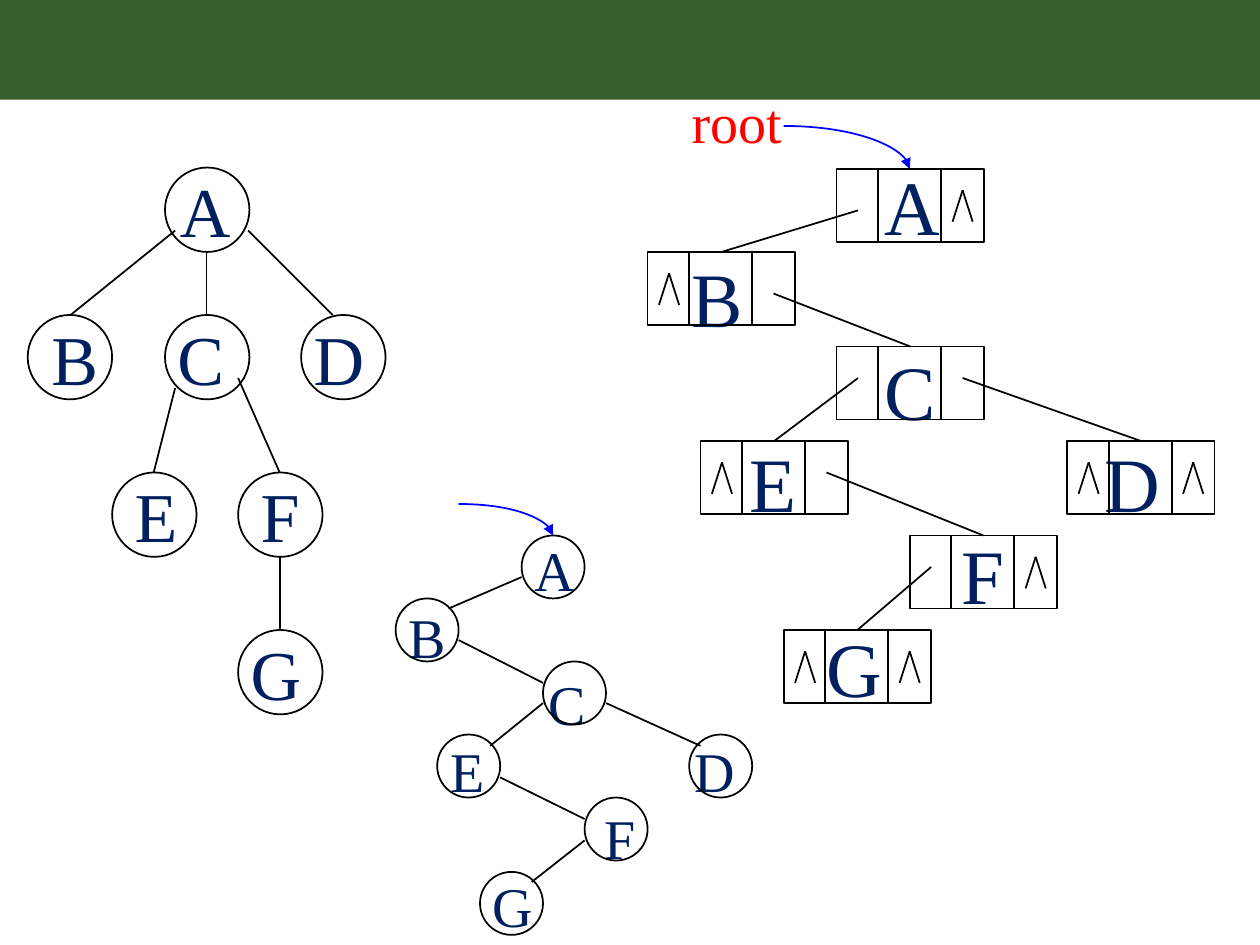
from lxml import etree
from pptx import Presentation
from pptx.dml.color import RGBColor
from pptx.enum.shapes import MSO_CONNECTOR, MSO_SHAPE
from pptx.enum.text import MSO_ANCHOR, PP_ALIGN
from pptx.oxml.ns import qn
from pptx.util import Cm, Pt

RECTANGLE, OVAL = MSO_SHAPE.RECTANGLE, MSO_SHAPE.OVAL
STRAIGHT, CURVE = MSO_CONNECTOR.STRAIGHT, MSO_CONNECTOR.CURVE
TOP, LEFT = MSO_ANCHOR.TOP, PP_ALIGN.LEFT

COLORS = {"band": "365F2E", "letter": "002060", "root": "FF0000",
          "pointer": "0000FF", "line": "000000"}
FONT = "Times New Roman"

# Layout values are in inches and turned into Cm by length()
BIG_CIRCLE, SMALL_CIRCLE = 0.67, 0.5
RECORD_WIDTH, RECORD_HEIGHT = 1.17, 0.58
RECORD_DIVIDERS = (0.33, 0.83)
LINK_CELLS = {"left": 0.17, "right": 1.0}  # centres of the two link cells

# General tree: circle left and top, letter left and width
TREE_NODES = {
    "A": (1.31, 1.33, 1.33, 0.61), "B": (0.22, 2.5, 0.31, 0.58),
    "C": (1.31, 2.5, 1.31, 0.58), "D": (2.39, 2.5, 2.39, 0.61),
    "E": (0.89, 3.75, 0.97, 0.54), "F": (1.89, 3.75, 1.97, 0.51),
    "G": (1.89, 5, 1.89, 0.61),
}
TREE_EDGES = [
    (1.39, 1.83, 0.56, 2.5), (1.64, 2, 1.64, 2.5), (1.97, 1.83, 2.64, 2.5),
    (1.39, 3.08, 1.22, 3.75), (1.89, 3, 2.22, 3.75), (2.22, 4.42, 2.22, 5),
]

# Binary tree: circle left and top
BINARY_NODES = [(4.14, 4.25), (3.14, 4.75), (4.31, 5.25), (3.47, 5.83),
                (5.47, 5.83), (4.64, 6.33), (3.81, 6.92)]
BINARY_EDGES = [
    (4.14, 4.58, 3.56, 4.83), (3.64, 5.08, 4.31, 5.42),
    (4.31, 5.58, 3.89, 5.92), (4.81, 5.58, 5.56, 5.92),
    (3.97, 6.17, 4.64, 6.5), (4.64, 6.67, 4.22, 7),
]

# Linked records: left, top, sides holding a null mark
RECORDS = {
    "A": (6.64, 1.34, ["right"]), "B": (5.14, 2, ["left"]),
    "C": (6.64, 2.75, []), "D": (8.47, 3.5, ["left", "right"]),
    "E": (5.56, 3.5, ["left"]), "F": (7.22, 4.25, ["right"]),
    "G": (6.22, 5, ["left", "right"]),
}
# Parent, side, child, depth of the link's start inside the parent
RECORD_LINKS = [
    ("A", "left", "B", 0.33), ("B", "right", "C", 0.33),
    ("C", "left", "E", 0.25), ("C", "right", "D", 0.25),
    ("E", "right", "F", 0.25), ("F", "left", "G", 0.25),
]

# Letter rows: tab stop in quarter ems, letter
RECORD_ROWS = [[(10, "A")], [(0, "B")], [(10, "C")],
               [(3, "E"), (21.44, "D")], [(14, "F")], [(7, "G")]]
BINARY_ROWS = [[(9, "A")], [(0, "B")], [(10, "C")],
               [(3, "E"), (20.44, "D")], [(14, "F")], [(6, "G")]]


def length(inches):
    return Cm(inches * 2.54)


def color(name):
    return RGBColor.from_string(COLORS[name])


def add_shape(slide, kind, left, top, width, height, fill=None):
    shape = slide.shapes.add_shape(kind, *map(length, (left, top, width, height)))
    shape.shadow.inherit = False
    if fill:
        shape.fill.solid()
        shape.fill.fore_color.rgb = color(fill)
        shape.line.fill.background()
    else:
        shape.fill.background()
        shape.line.color.rgb = color("line")
        shape.line.width = Pt(1)
    return shape


def add_line(slide, x1, y1, x2, y2, kind=STRAIGHT, line="line"):
    connector = slide.shapes.add_connector(kind, *map(length, (x1, y1, x2, y2)))
    connector.line.color.rgb = color(line)
    connector.line.width = Pt(1)
    etree.SubElement(connector._element.spPr, qn("a:effectLst"))
    return connector


def add_pointer(slide, x1, y1, x2, y2):
    connector = add_line(slide, x1, y1, x2, y2, CURVE, "pointer")
    properties = connector._element.spPr
    properties.find(qn("a:prstGeom")).set("prst", "curvedConnector2")
    etree.SubElement(properties.find(qn("a:ln")), qn("a:tailEnd"), type="triangle")


def add_text(slide, rows, left, top, width, height, size, font_color="letter", wrap=False):
    box = slide.shapes.add_textbox(*map(length, (left, top, width, height)))
    frame = box.text_frame
    frame.word_wrap = wrap
    frame.vertical_anchor = TOP
    frame.margin_top = length(0.05) + Pt(size * 0.06)
    for index, row in enumerate(rows):
        paragraph = frame.paragraphs[0] if index == 0 else frame.add_paragraph()
        paragraph.alignment = LEFT
        paragraph.line_spacing = Pt(size * 1.2)
        stops = [Pt(size * stop / 4) for stop, _ in row if stop]
        if stops:
            tabs = etree.SubElement(paragraph._p.get_or_add_pPr(), qn("a:tabLst"))
            for stop in stops:
                etree.SubElement(tabs, qn("a:tab"), pos=str(int(stop)), algn="l")
        for stop, text in row:
            run = paragraph.add_run()
            run.text = "\t" + text if stop else text
            run.font.name = FONT
            run.font.size = Pt(size)
            run.font.color.rgb = color(font_color)


def add_null_mark(slide, x, y):
    for offset in (-0.08, 0.08):
        add_line(slide, x, y, x + offset, y + 0.25)


def add_record(slide, left, top, null_sides):
    box = add_shape(slide, RECTANGLE, left, top, RECORD_WIDTH, RECORD_HEIGHT)
    for offset in RECORD_DIVIDERS:
        add_line(slide, left + offset, top, left + offset, top + RECORD_HEIGHT)
    for side in null_sides:
        add_null_mark(slide, left + LINK_CELLS[side], top + 0.17)
    return box


def add_general_tree(slide):
    for letter, (left, top, text_left, text_width) in TREE_NODES.items():
        add_shape(slide, OVAL, left, top, BIG_CIRCLE, BIG_CIRCLE)
        add_text(slide, [[(0, letter)]], text_left, top - 0.08, text_width, 0.77, 40)
    for edge in TREE_EDGES:
        add_line(slide, *edge)


def add_linked_records(slide):
    add_text(slide, RECORD_ROWS, 5.39, 1.17, 4.42, 4.54, 44, wrap=True)
    boxes = {name: add_record(slide, *record) for name, record in RECORDS.items()}
    for parent, side, child, depth in RECORD_LINKS:
        left, top, _ = RECORDS[parent]
        child_left, child_top, _ = RECORDS[child]
        link = add_line(slide, left + LINK_CELLS[side], top + depth,
                        child_left + RECORD_WIDTH / 2, child_top)
        link.end_connect(boxes[child], 0)
    add_pointer(slide, 6.22, 1, 7.22, 1.34)
    add_text(slide, [[(0, "root")]], 5.39, 0.62, 0.92, 0.64, 32, "root")


def add_binary_tree(slide):
    add_text(slide, BINARY_ROWS, 3.14, 4.17, 2.82, 3.33, 32, wrap=True)
    for left, top in BINARY_NODES:
        add_shape(slide, OVAL, left, top, SMALL_CIRCLE, SMALL_CIRCLE)
    for edge in BINARY_EDGES:
        add_line(slide, *edge)
    add_pointer(slide, 3.64, 4, 4.39, 4.25)


def main():
    presentation = Presentation()
    presentation.slide_width, presentation.slide_height = Cm(25.4), Cm(19.05)
    slide = presentation.slides.add_slide(presentation.slide_layouts[6])
    add_shape(slide, RECTANGLE, 0, 0, 10, 0.79, "band")
    add_general_tree(slide)
    add_linked_records(slide)
    add_binary_tree(slide)
    presentation.save("out.pptx")


if __name__ == "__main__":
    main()
